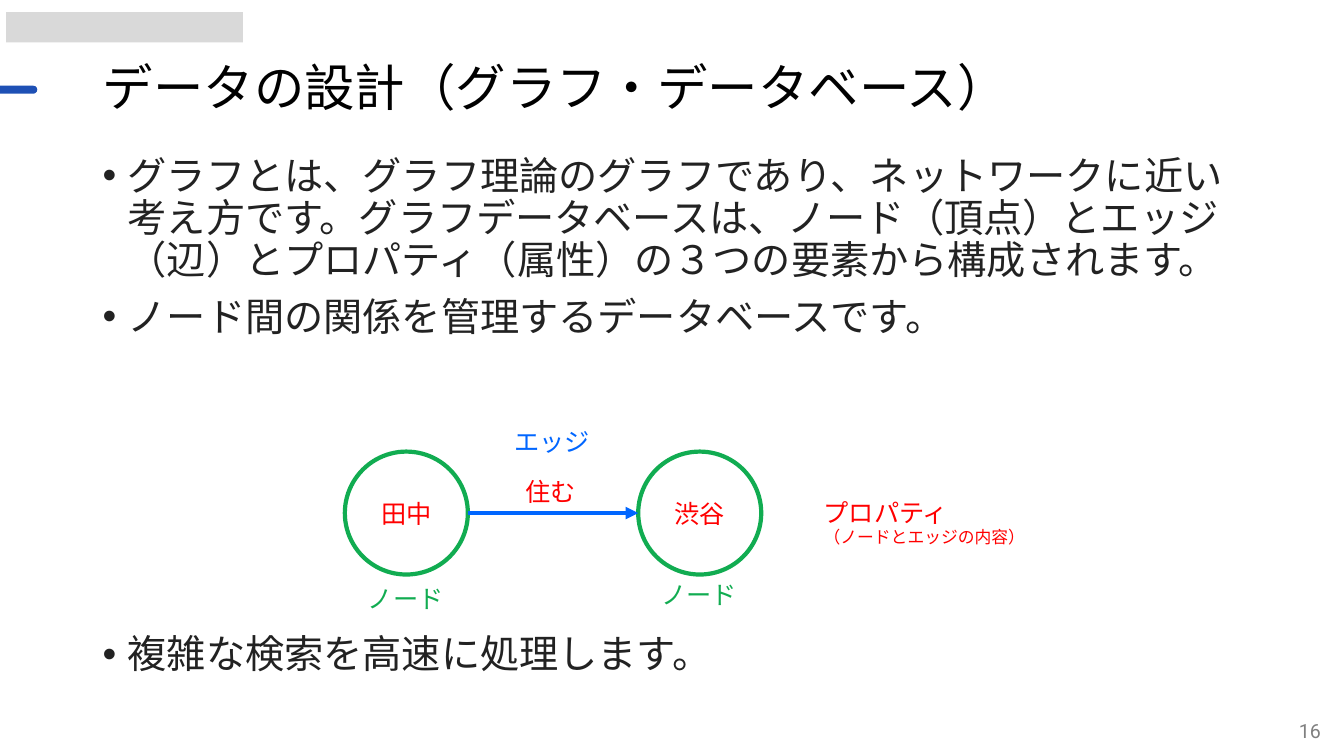
from lxml import etree
from pptx import Presentation
from pptx.dml.color import RGBColor
from pptx.enum.shapes import MSO_CONNECTOR, MSO_SHAPE
from pptx.enum.text import MSO_ANCHOR, PP_ALIGN
from pptx.oxml.ns import qn
from pptx.util import Inches, Pt

OVAL, ROUND, RECT = MSO_SHAPE.OVAL, MSO_SHAPE.ROUNDED_RECTANGLE, MSO_SHAPE.RECTANGLE
LEFT, CENTER, RIGHT = PP_ALIGN.LEFT, PP_ALIGN.CENTER, PP_ALIGN.RIGHT
TOP, MIDDLE = MSO_ANCHOR.TOP, MSO_ANCHOR.MIDDLE
STRAIGHT = MSO_CONNECTOR.STRAIGHT

WIDE, HIGH = 13.33, 7.5
MARGIN, SPAN = 0.92, 11.5
SIDE, NODE_TOP = 1.22, 4.48
NODE_X = (3.42, 6.33)
AXIS = NODE_TOP + SIDE / 2
LABEL_H = 0.4

RED, GREEN, BLUE = "FF0000", "11AC51", "0066FF"
BLACK, WHITE, INK, GRAY, NAVY = "000000", "FFFFFF", "222222", "808080", "1E50B5"
PALE = "D9D9D9"
SANS, BODY, HEAD = "Noto Sans CJK JP", "Calibri", "Roboto"

TITLE = "データの設計（グラフ・データベース）"
PAGE = "16"
POINTS = [
    (1.5, 1.94, [
        "グラフとは、グラフ理論のグラフであり、ネットワークに近い考え方です。"
        "グラフデータベースは、ノード（頂点）とエッジ（辺）と"
        "プロパティ（属性）の３つの要素から構成されます。",
        "ノード間の関係を管理するデータベースです。",
    ]),
    (6.25, 0.55, ["複雑な検索を高速に処理します。"]),
]
NODES = ["田中", "渋谷"]
LABELS = [
    ("ノード", 3.55, 5.74, 0.96, GREEN),
    ("ノード", 6.46, 5.7, 0.96, GREEN),
    ("エッジ", 5, 4.18, 0.96, BLUE),
    ("住む", 5.11, 4.68, 0.71, RED),
]
PROPS = ["プロパティ", "（ノードとエッジの内容）"]


def tint(code):
    return RGBColor.from_string(code)


def place(shape, x, y, w, h):
    shape.left, shape.top = Inches(x), Inches(y)
    shape.width, shape.height = Inches(w), Inches(h)


def write(shape, lines, size, face, color, align=LEFT, anchor=TOP, wrap=True):
    frame = shape.text_frame
    frame.text = "\n".join(lines)
    frame.word_wrap = wrap
    frame.vertical_anchor = anchor
    for para in frame.paragraphs:
        para.alignment = align
        for run in para.runs:
            font = run.font
            font.size, font.name = Pt(size), face
            font.color.rgb = tint(color)
            etree.SubElement(run._r.get_or_add_rPr(), qn("a:ea"), typeface=face)
    return frame


def label(slide, box, lines, size, face, color, **style):
    shape = slide.shapes.add_textbox(*map(Inches, box))
    return write(shape, lines, size, face, color, **style)


def solid(slide, kind, box, fill, line=None):
    shape = slide.shapes.add_shape(kind, *map(Inches, box))
    shape.shadow.inherit = False
    shape.fill.solid()
    shape.fill.fore_color.rgb = tint(fill)
    if line:
        shape.line.color.rgb = tint(line)
        shape.line.width = Pt(3)
    else:
        shape.line.fill.background()
    return shape


def bullet(para):
    para.line_spacing = 0.9
    para.space_before = Pt(10)
    props = para._p.get_or_add_pPr()
    props.set("marL", str(Inches(0.25)))
    props.set("indent", str(-Inches(0.25)))
    etree.SubElement(props, qn("a:buFont"), typeface="Arial")
    etree.SubElement(props, qn("a:buChar"), char="•")


def arrow(slide, start, end, y):
    line = slide.shapes.add_connector(
        STRAIGHT, Inches(start), Inches(y), Inches(end), Inches(y))
    line.line.color.rgb = tint(BLUE)
    line.line.width = Pt(3)
    etree.SubElement(line.line._get_or_add_ln(), qn("a:tailEnd"), type="triangle")
    etree.SubElement(line._element.spPr, qn("a:effectLst"))


def main():
    deck = Presentation()
    deck.slide_width, deck.slide_height = Inches(WIDE), Inches(HIGH)
    slide = deck.slides.add_slide(deck.slide_layouts[5])

    solid(slide, RECT, (0.06, 0.12, 2.35, 0.3), PALE)
    bar = solid(slide, ROUND, (-0.1, 0.85, 0.47, 0.08), NAVY)
    bar.adjustments[0] = 0.5

    title = slide.shapes.title
    place(title, MARGIN, 0.57, SPAN, 0.65)
    frame = write(title, [TITLE], 36, HEAD, BLACK, anchor=MIDDLE)
    frame.paragraphs[0].line_spacing = 0.9

    for y, h, lines in POINTS:
        frame = label(slide, (MARGIN, y, SPAN, h), lines, 28, BODY, INK)
        for para in frame.paragraphs:
            bullet(para)

    label(slide, (10.2, 7.05, 3, LABEL_H), [PAGE], 14, HEAD, GRAY,
          align=RIGHT, anchor=MIDDLE)

    for name, x in zip(NODES, NODE_X):
        node = solid(slide, OVAL, (x, NODE_TOP, SIDE, SIDE), WHITE, GREEN)
        write(node, [name], 18, SANS, RED, align=CENTER, anchor=MIDDLE)
    arrow(slide, NODE_X[0] + SIDE, NODE_X[1], AXIS)

    for text, x, y, w, color in LABELS:
        label(slide, (x, y, w, LABEL_H), [text], 18, SANS, color, wrap=False)
    frame = label(slide, (8.07, 4.88, 2.22, 0.61), PROPS, 18, SANS, RED, wrap=False)
    frame.paragraphs[1].runs[0].font.size = Pt(12)

    deck.save("out.pptx")


if __name__ == "__main__":
    main()
